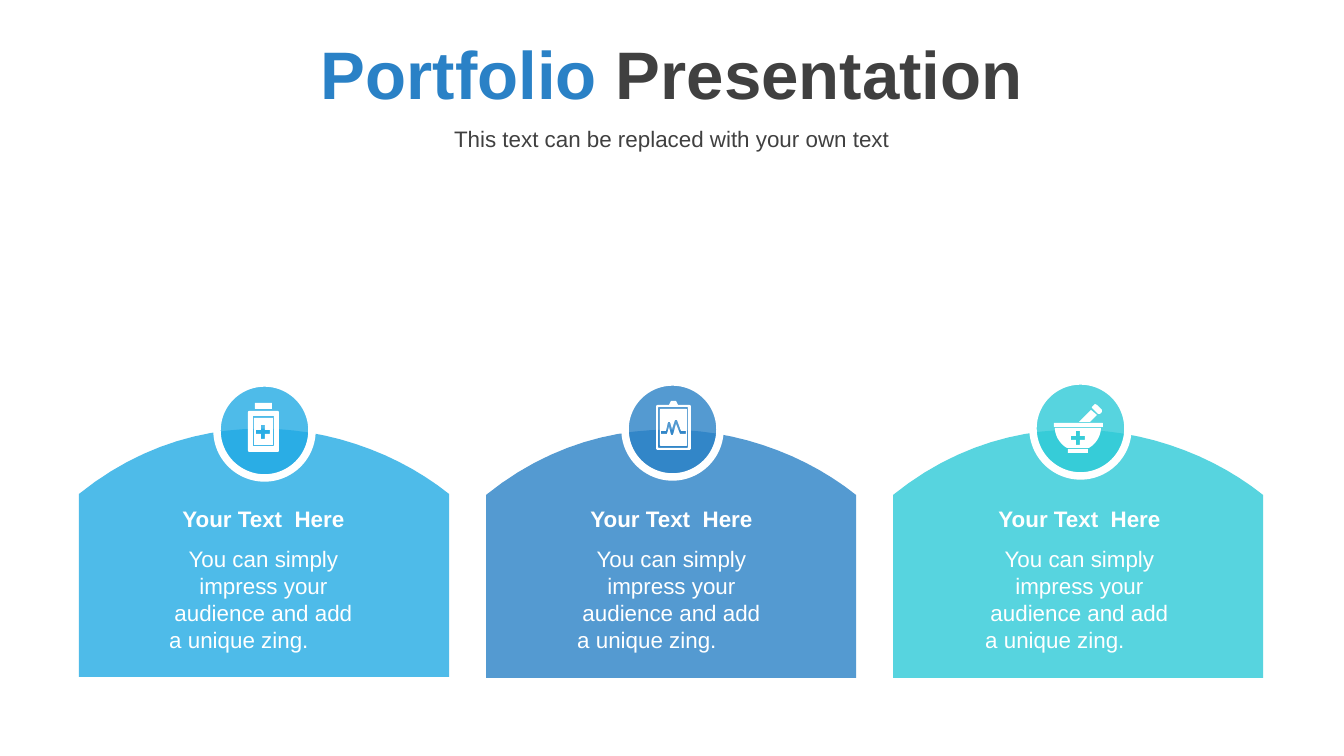
"""Build the portfolio slide with three domed cards."""
import lxml.etree
import pptx
import pptx.dml.color
import pptx.enum.shapes
import pptx.enum.text
import pptx.oxml.ns
import pptx.util

RGB = pptx.dml.color.RGBColor
ALIGN = pptx.enum.text.PP_ALIGN
ANCHOR = pptx.enum.text.MSO_ANCHOR
OVAL = pptx.enum.shapes.MSO_SHAPE.OVAL
WHITE = RGB(0xFF, 0xFF, 0xFF)
DARK = RGB(0x40, 0x40, 0x40)
SKY = RGB(0x22, 0xAA, 0xE4)
BLUE = RGB(0x2A, 0x81, 0xC6)
TEAL = RGB(0x2E, 0xCA, 0xD7)
SCALE = 914400 / 134.4


def px(n):
    """Turn pixels into EMU."""
    return pptx.util.Emu(round(n * SCALE))


def curve(a, b, c, d, steps=24):
    """Return points along a cubic curve."""
    pts = []
    for i in range(steps + 1):
        t = i / steps
        u = 1 - t
        pts.append(tuple(
            u**3 * p + 3 * u * u * t * q + 3 * u * t * t * r + t**3 * s
            for p, q, r, s in zip(a, b, c, d)))
    return pts


def box(x, y, w, h, r=0):
    """Return the outline of a box with rounded corners."""
    if not r:
        return [(x, y), (x + w, y), (x + w, y + h), (x, y + h)]
    right, low = x + w, y + h
    ends = [((x, y + r), (x, y), (x + r, y)),
            ((right - r, y), (right, y), (right, y + r)),
            ((right, low - r), (right, low), (right - r, low)),
            ((x + r, low), (x, low), (x, low - r))]
    return [p for a, mid, b in ends for p in curve(a, mid, mid, b, 6)]


def cross(x, y, arm, half):
    """Return the outline of a plus sign centred on x, y."""
    pts = [(-half, -arm), (half, -arm), (half, -half), (arm, -half),
           (arm, half), (half, half), (half, arm), (-half, arm),
           (-half, half), (-arm, half), (-arm, -half), (-half, -half)]
    return [(x + dx, y + dy) for dx, dy in pts]


def paint(shape, color, alpha=None):
    """Fill a shape, without line or shadow."""
    shape.shadow.inherit = False
    shape.line.fill.background()
    shape.fill.solid()
    shape.fill.fore_color.rgb = color
    if alpha:
        qn = pptx.oxml.ns.qn
        tone = shape.element.spPr.find(qn("a:solidFill")).find(qn("a:srgbClr"))
        lxml.etree.SubElement(tone, qn("a:alpha")).set("val", str(alpha * 1000))


def free(slide, loops, color, alpha=None):
    """Draw closed outlines as one shape; inner ones cut holes."""
    pen = None
    for loop in loops:
        first, *rest = [(px(x), px(y)) for x, y in loop]
        if pen is None:
            pen = slide.shapes.build_freeform(*first, scale=1.0)
        else:
            pen.move_to(*first)
        pen.add_line_segments(rest, close=True)
    paint(pen.convert_to_shape(), color, alpha)


def write(slide, area, paras, size=12, bold=False, anchor=ANCHOR.TOP,
          space=None, before=None):
    """Add a text box; each paragraph is an alignment and its runs."""
    frame = slide.shapes.add_textbox(*map(px, area)).text_frame
    frame.word_wrap = True
    frame.vertical_anchor = anchor
    for i, (align, runs) in enumerate(paras):
        para = frame.add_paragraph() if i else frame.paragraphs[0]
        para.alignment = align
        para.line_spacing = space
        para.space_before = before
        for text, color in runs:
            run = para.add_run()
            run.text = text
            run.font.name = "Arial"
            run.font.size = pptx.util.Pt(size)
            run.font.bold = bold
            run.font.color.rgb = color


def card(slide, x, y, color):
    """Draw a card with a domed top."""
    dome = curve((x, y), (x + 125, y - 101), (x + 280, y - 72), (x + 370, y))
    free(slide, [dome + [(x + 370, y + 183), (x, y + 183)]], color, 80)


def disc(slide, x, y, color):
    """Draw a round badge with a white rim."""
    shape = slide.shapes.add_shape(OVAL, px(x), px(y), px(95), px(95))
    paint(shape, color, 80)
    shape.line.color.rgb = WHITE
    shape.line.width = pptx.util.Pt(4)


def label(slide, x):
    """Write the heading and text of a card."""
    write(slide, (x, 539, 215, 122), [
        (ALIGN.CENTER, [("You can simply impress your audience and add", WHITE)]),
        (ALIGN.LEFT, [("a unique zing.", WHITE)])])
    write(slide, (x, 499, 215, 40),
          [(ALIGN.CENTER, [("Your Text  Here", WHITE)])], bold=True)


def bottle(slide):
    """Draw the medicine bottle icon."""
    free(slide, [box(248, 411, 31, 41, 3), box(253, 416, 21, 30),
                 box(254, 418, 19, 27), cross(263, 432, 7, 2),
                 box(255, 403, 17, 6, 1)], WHITE)


def chart(slide):
    """Draw the clipboard icon with a pulse line."""
    pulse = [(661, 431), (666, 431), (668, 422), (670, 422), (672, 429),
             (675, 420), (677, 420), (681, 431), (686, 431), (686, 434),
             (680, 434), (676, 424), (673, 435), (671, 435), (669, 427),
             (667, 434), (661, 434)]
    clip = [(669, 405), (671, 401), (676, 401), (678, 405)]
    free(slide, [box(656, 405, 35, 45, 4), box(658, 407, 30, 41, 2),
                 box(660, 409, 27, 37, 2), pulse, clip], WHITE)


def mortar(slide):
    """Draw the mortar and pestle icon."""
    bowl = (curve((1101, 428), (1101, 436), (1096, 444), (1089, 448))
            + curve((1067, 448), (1060, 444), (1055, 436), (1055, 428)))
    stem = [(1091, 410), (1097, 415), (1090, 422), (1079, 422)]
    knob = [(1095, 404), (1097, 405), (1102, 410), (1102, 412), (1100, 414),
            (1098, 414), (1092, 408), (1092, 407)]
    free(slide, [bowl, cross(1078, 438, 7, 2), box(1054, 423, 49, 4, 1),
                 box(1068, 449, 20, 4, 1), stem, knob], WHITE)


def main():
    """Build and save the slide."""
    deck = pptx.Presentation()
    deck.slide_width, deck.slide_height = px(1344), px(756)
    slide = deck.slides.add_slide(deck.slide_layouts[6])
    write(slide, (0, 22, 1344, 101),
          [(ALIGN.CENTER, [("Portfolio ", BLUE), ("Presentation", DARK)])],
          size=36, bold=True, anchor=ANCHOR.MIDDLE)
    write(slide, (0, 124, 1344, 32),
          [(ALIGN.CENTER, [("This text can be replaced with your own text", DARK)])],
          anchor=ANCHOR.MIDDLE, space=0.9, before=pptx.util.Pt(10))
    tones = (SKY, BLUE, TEAL)
    for i, (y, tone) in enumerate(zip((494, 495, 495), tones)):
        card(slide, 79 + 407 * i, y, tone)
    for i, tone in enumerate(tones):
        disc(slide, 217 + 408 * i, 383 - i, tone)
    for i in range(3):
        label(slide, 156 + 408 * i)
    for icon in (mortar, bottle, chart):
        icon(slide)
    deck.save("out.pptx")


if __name__ == "__main__":
    main()
